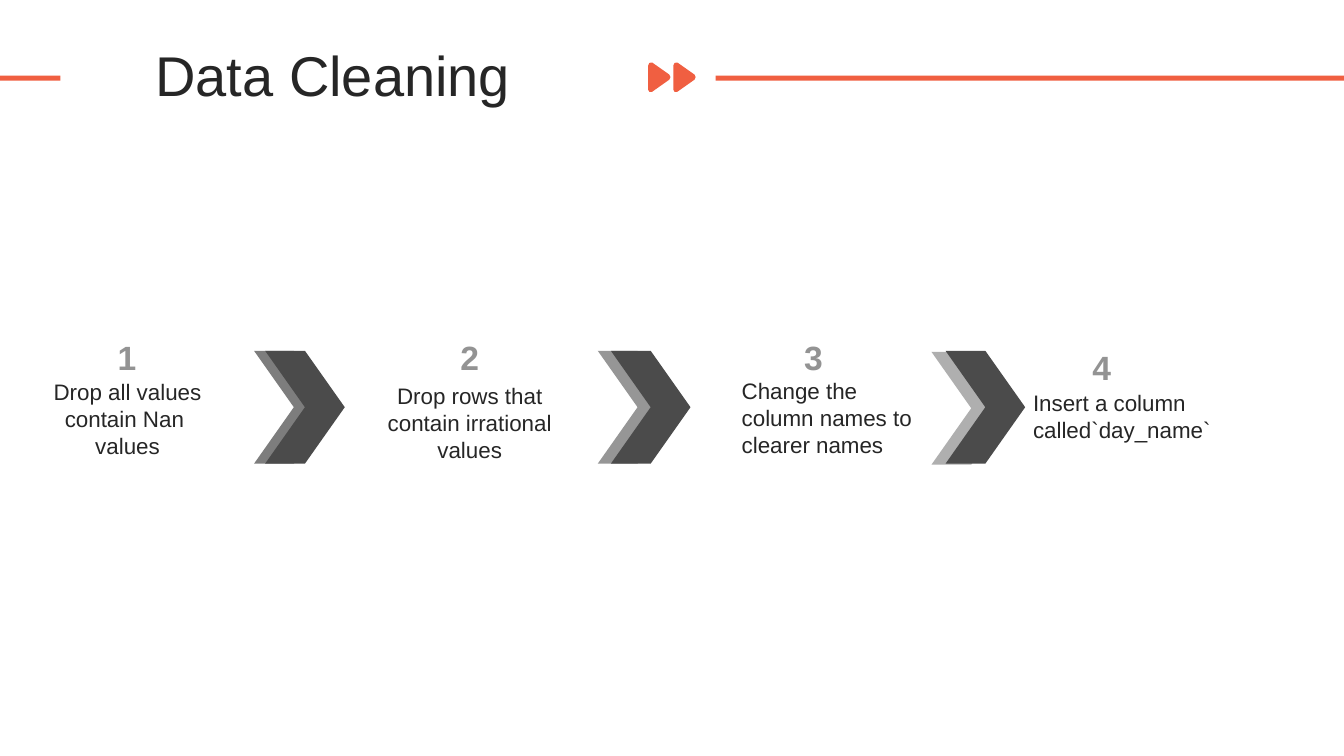
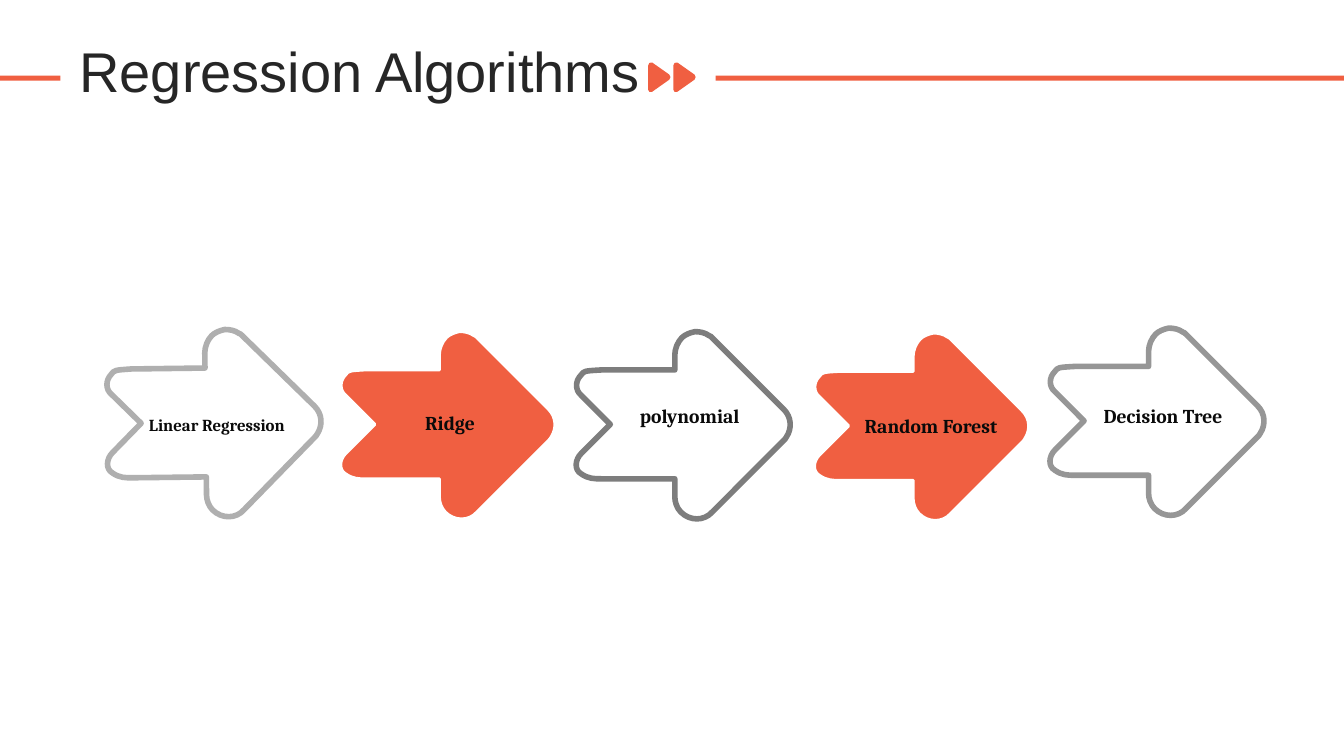
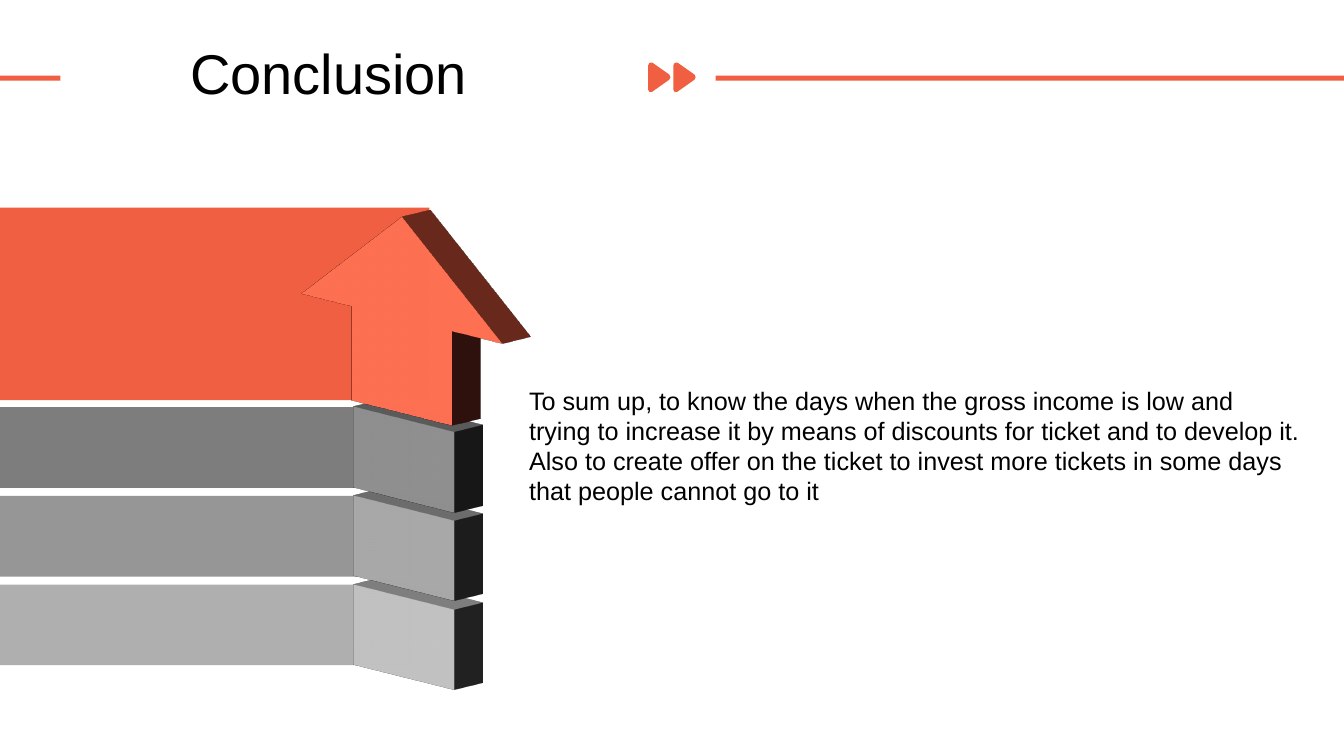
"""Build three slides on data cleaning, regression algorithms and the conclusion."""
from collections import namedtuple
from dataclasses import dataclass

from lxml import etree
from pptx import Presentation
from pptx.dml.color import RGBColor
from pptx.enum.shapes import MSO_SHAPE as Preset
from pptx.enum.text import MSO_ANCHOR as Anchor, PP_ALIGN as Align
from pptx.oxml import parse_xml
from pptx.oxml.ns import nsdecls, qn
from pptx.util import Inches, Pt

CELL = Inches(0.1)
COLUMNS, ROWS = 133.33, 75


@dataclass(frozen=True)
class Theme:
    """Colours, fonts and type sizes."""
    accent = RGBColor.from_string("F05F41")
    white = RGBColor.from_string("FFFFFF")
    black = RGBColor.from_string("000000")
    ink = RGBColor.from_string("262626")
    label_ink = RGBColor.from_string("0A0A0A")
    number = RGBColor.from_string("939393")
    charcoal = RGBColor.from_string("4B4B4B")
    dark_grey = RGBColor.from_string("7D7D7D")
    mid_grey = RGBColor.from_string("969696")
    light_grey = RGBColor.from_string("AFAFAF")
    sans = "Arial"
    serif = "Cambria"
    title_size = 40
    number_size = 24
    body_size = 18
    step_size = 16
    label_size = 14
    small_label_size = 12


THEME = Theme()

Step = namedtuple("Step", "text column row width align number_column number_row")
Algorithm = namedtuple(
    "Algorithm", "name column row size fill line weight arrow_column arrow_row tilt")

STEPS = [
    Step("Drop all values contain Nan  values", 2.4, 37.05, 20.5, Align.CENTER, 3.5, 32.9),
    Step("Drop rows that contain irrational values", 36.6, 37.45, 20, Align.CENTER, 37.5, 32.9),
    Step("Change the column names to clearer names", 72.6, 36.95, 20, Align.LEFT, 71.6, 32.9),
    Step("Insert a column called`day_name`", 101.5, 38.1, 20, Align.LEFT, 100.2, 33.9),
]

CHEVRONS = [
    (25.2, 26.3, 34.8, THEME.dark_grey),
    (59.3, 60.6, 34.8, THEME.mid_grey),
    (92.4, 93.8, 34.9, THEME.light_grey),
]

ALGORITHMS = [
    Algorithm("Linear Regression", 13.8, 40.65, THEME.small_label_size,
              THEME.white, THEME.light_grey, 4, 19.4, 41.9, -0.7),
    Algorithm("Ridge", 41.2, 40.3, THEME.label_size,
              THEME.accent, THEME.white, 2, 42.6, 42.1, 0),
    Algorithm("polynomial", 62.5, 39.6, THEME.label_size,
              THEME.white, THEME.dark_grey, 4, 65.95, 42.1, 0),
    Algorithm("Random Forest", 84.8, 40.6, THEME.label_size,
              THEME.accent, THEME.white, 2, 89.6, 42.25, 0),
    Algorithm("Decision Tree", 108.5, 39.6, THEME.label_size,
              THEME.white, THEME.mid_grey, 4, 112.95, 41.75, 0),
]

PLAY_MARK = [
    (2.1, 0.25), (0.4, 1.45), (0.2, 1.55, 0, 1.45, 0, 1.25), (0, -1.15),
    (0, -1.35, 0.2, -1.55, 0.4, -1.45), (2.1, -0.25), (2.25, -0.15, 2.25, 0.15, 2.1, 0.25),
]

ROUNDED_ARROW = [
    (3, -9.2), (3.5, -9.2, 4, -9.1, 4.4, -8.8), (4.5, -8.8, 4.6, -8.7, 4.7, -8.6),
    (11.8, -1.5), (12.6, -0.7, 12.6, 0.4, 12.1, 1.2), (12, 1.4, 11.9, 1.5, 11.8, 1.6),
    (4.7, 8.7), (3.9, 9.6, 2.5, 9.6, 1.6, 8.7), (1.2, 8.3, 1, 7.7, 1, 7.2),
    (1, 5.4), (-6.3, 5.4), (-7, 5.4, -7.6, 5.4, -8.3, 4.9),
    (-9, 4.5, -8.9, 3.5, -8.3, 2.9), (-5.4, 0), (-8.3, -2.9),
    (-8.9, -3.4, -8.9, -4.3, -8.3, -4.9), (-8, -5.3, -8, -5.3, -6.3, -5.4),
    (1, -5.4), (1, -6.9), (1, -7.5, 1.3, -8.2, 1.7, -8.6), (2, -8.9, 2.5, -9.1, 3, -9.2),
]

SCENE = (
    f'<a:scene3d {nsdecls("a")}><a:camera prst="isometricLeftDown">'
    '<a:rot lat="870000" lon="2700000" rev="0"/></a:camera>'
    '<a:lightRig rig="threePt" dir="t"/></a:scene3d>'
)

SUMMARY = (
    "To sum up, to know the days when the gross income is low and trying to increase it "
    "by means of discounts for ticket and to develop it. Also to create offer on the ticket "
    "to invest more tickets in some days that people cannot go to it"
)


def cells(count):
    """Turn a number of grid cells into a length."""
    return round(count * CELL)


def paint(shape, fill, line=None, weight=0):
    """Give a shape a flat fill and an optional outline."""
    shape.shadow.inherit = False
    shape.fill.solid()
    shape.fill.fore_color.rgb = fill
    if line is None:
        shape.line.fill.background()
    else:
        shape.line.color.rgb = line
        shape.line.width = Pt(weight)
    return shape


def add_preset(slide, preset, column, row, width, height, fill):
    """Add a flat preset shape on the grid."""
    frame = (cells(length) for length in (column, row, width, height))
    return paint(slide.shapes.add_shape(preset, *frame), fill)


def extrude(shape, depth):
    """Turn a flat shape into a solid seen from the upper right."""
    properties = shape.element.spPr
    properties.append(parse_xml(SCENE))
    etree.SubElement(properties, qn("a:sp3d"), extrusionH=str(cells(depth)))


def bend(side, controls):
    """Replace a straight side of an outline by a cubic curve."""
    curve = etree.Element(qn("a:cubicBezTo"))
    for x, y in controls:
        etree.SubElement(curve, qn("a:pt"), x=str(x), y=str(y))
    side.getparent().replace(side, curve)


def add_outline(slide, segments, column, row, fill, line=None, weight=0):
    """Add a closed outline of straight and curved sides around a grid position."""
    tracks = [[(cells(column + x), cells(row + y)) for x, y in zip(part[::2], part[1::2])]
              for part in segments]
    ends = [track[-1] for track in tracks]
    builder = slide.shapes.build_freeform(*ends[0])
    builder.add_line_segments(ends[1:], close=True)
    outline = builder.convert_to_shape()
    sides = list(outline.element.iter(qn("a:lnTo")))
    for side, track in zip(sides, tracks[1:]):
        if len(track) == 3:
            bend(side, [(x - outline.left, y - outline.top) for x, y in track])
    return paint(outline, fill, line, weight)


def add_text(slide, text, column, row, width, height, size, color,
             font=THEME.sans, bold=False, align=Align.LEFT):
    """Add a wrapped one-paragraph text and return its frame."""
    frame = slide.shapes.add_textbox(
        *(cells(length) for length in (column, row, width, height))).text_frame
    frame.word_wrap = True
    frame.text = text
    paragraph = frame.paragraphs[0]
    paragraph.alignment = align
    style = paragraph.runs[0].font
    style.name, style.size, style.bold = font, Pt(size), bold
    style.color.rgb = color
    return frame


def add_title_slide(deck, title, column, row, width, align=Align.LEFT,
                    color=THEME.ink, spacing=0.9, before=10):
    """Add a blank slide with the title band."""
    slide = deck.slides.add_slide(deck.slide_layouts[6])
    for mark_column in (66.8, 64.3):
        add_outline(slide, PLAY_MARK, mark_column, 7.65, THEME.accent)
    for start, end in ((71, COLUMNS), (0, 6)):
        add_preset(slide, Preset.RECTANGLE, start, 7.5, end - start, 0.5, THEME.accent)
    frame = add_text(slide, title, column, row, width, 7.8, THEME.title_size, color, align=align)
    frame.vertical_anchor = Anchor.MIDDLE
    frame.paragraphs[0].line_spacing = spacing
    frame.paragraphs[0].space_before = Pt(before)
    return slide


def build_cleaning(deck):
    """Build the four cleaning steps with chevrons between them."""
    slide = add_title_slide(deck, "Data Cleaning", 6.9, 3.9, 52.2, Align.CENTER)
    for back_column, front_column, back_row, tint in CHEVRONS:
        add_preset(slide, Preset.CHEVRON, back_column, back_row, 7.9, 11.2, tint)
        add_preset(slide, Preset.CHEVRON, front_column, 34.8, 7.9, 11.2, THEME.charcoal)
    for number, step in enumerate(STEPS, start=1):
        add_text(slide, step.text, step.column, step.row, step.width, 9.1,
                 THEME.step_size, THEME.ink, align=step.align)
        add_text(slide, str(number), step.number_column, step.number_row, 18.2, 5,
                 THEME.number_size, THEME.number, bold=True, align=Align.CENTER)


def build_algorithms(deck):
    """Build the row of labelled algorithm arrows."""
    slide = add_title_slide(deck, "Regression Algorithms", 6.9, 3.5, 60)
    for algorithm in ALGORITHMS:
        arrow = add_outline(slide, ROUNDED_ARROW, algorithm.arrow_column, algorithm.arrow_row,
                            algorithm.fill, algorithm.line, algorithm.weight)
        arrow.rotation = algorithm.tilt
        add_text(slide, algorithm.name, algorithm.column, algorithm.row, 18, 3.4,
                 algorithm.size, THEME.label_ink, THEME.serif, True)


def build_conclusion(deck):
    """Build the stacked bands with the rising arrow and the summary."""
    slide = add_title_slide(deck, "Conclusion", 17.9, 3.3, 33.6,
                            color=THEME.black, spacing=1, before=0)
    greys = (THEME.dark_grey, THEME.mid_grey, THEME.light_grey)
    layers = [(8.8 * index, grey) for index, grey in enumerate(greys)][::-1]
    for drop, grey in layers:
        add_preset(slide, Preset.RECTANGLE, 0, 40.4 + drop, 40.9, 8, grey)
    add_preset(slide, Preset.RECTANGLE, 0, 20.6, 42.6, 19.1, THEME.accent)
    for drop, grey in layers:
        extrude(add_preset(slide, Preset.RECTANGLE, 33, 41.5 + drop, 14.1, 8.2, grey), 4)
    rise = add_preset(slide, Preset.UP_ARROW, 25.8, 21.2, 28.1, 20, THEME.accent)
    rise.adjustments[0], rise.adjustments[1] = 0.5, 0.52
    extrude(rise, 4)
    add_text(slide, SUMMARY, 51.5, 37.7, 78.5, 13.1, THEME.body_size, THEME.black)


def main():
    """Build and save the deck."""
    deck = Presentation()
    deck.slide_width, deck.slide_height = cells(COLUMNS), cells(ROWS)
    build_cleaning(deck)
    build_algorithms(deck)
    build_conclusion(deck)
    deck.save("out.pptx")


if __name__ == "__main__":
    main()
